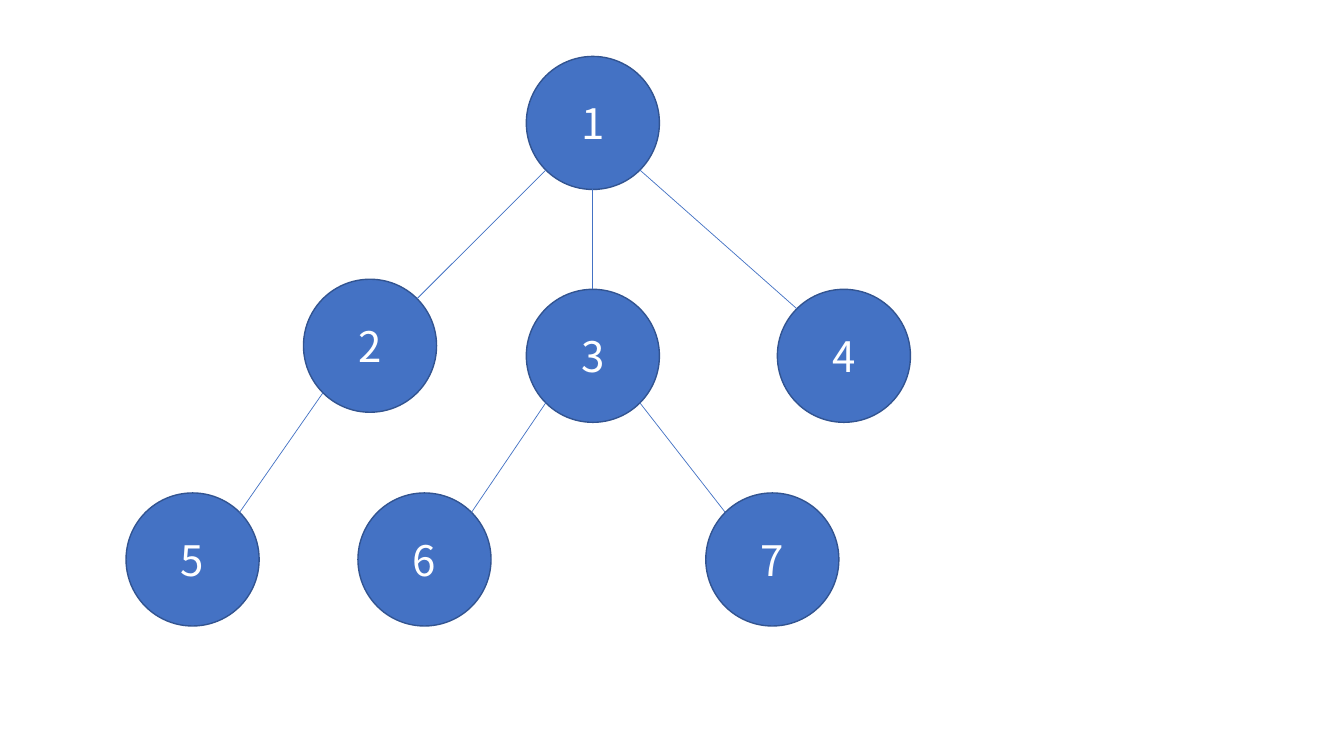
import math

from lxml import etree
from pptx import Presentation
from pptx import util as u
from pptx.dml.color import RGBColor
from pptx.enum import shapes, text
from pptx.oxml import ns

DIAMETER = 1.32
NODES = {
    "1": (5.22, 0.56),
    "2": (3.01, 2.77),
    "3": (5.22, 2.87),
    "4": (7.71, 2.87),
    "5": (1.25, 4.89),
    "6": (3.55, 4.89),
    "7": (7, 4.89),
}
EDGES = ["12", "13", "14", "25", "36", "37"]


def color(value):
    return RGBColor.from_string(value)


def write(frame, content, *, font, size, fill, align):
    para = frame.paragraphs[0]
    para.alignment = align
    span = para.add_run()
    span.text = content
    span.font.name = font
    span.font.size = u.Pt(size)
    span.font.color.rgb = color(fill)
    properties = span.font._element
    for tag in ("a:ea", "a:cs"):
        etree.SubElement(properties, ns.qn(tag), typeface=font)


class TreePage:
    font = "Noto Sans CJK KR"
    size = 30
    node_fill = "4472C4"
    node_line = "325491"
    text_fill = "FFFFFF"

    def __init__(self, deck):
        self.page = deck.slides.add_slide(deck.slide_layouts[6])

    def node(self, label, left, top):
        circle = self.page.shapes.add_shape(
            shapes.MSO_SHAPE.FLOWCHART_CONNECTOR,
            u.Inches(left), u.Inches(top), u.Inches(DIAMETER), u.Inches(DIAMETER))
        circle.shadow.inherit = False
        circle.fill.solid()
        circle.fill.fore_color.rgb = color(self.node_fill)
        circle.line.color.rgb = color(self.node_line)
        circle.line.width = u.Pt(1)
        frame = circle.text_frame
        frame.vertical_anchor = text.MSO_ANCHOR.MIDDLE
        write(frame, label, font=self.font, size=self.size,
              fill=self.text_fill, align=text.PP_ALIGN.CENTER)

    def edge(self, parent, child):
        radius = DIAMETER / 2
        (parent_x, parent_y), (child_x, child_y) = NODES[parent], NODES[child]
        if child_x == parent_x:
            across, down = 0, radius
        else:
            down = radius * math.sqrt(0.5)
            across = math.copysign(down, child_x - parent_x)
        line = self.page.shapes.add_connector(
            shapes.MSO_CONNECTOR.STRAIGHT,
            u.Inches(parent_x + radius + across), u.Inches(parent_y + radius + down),
            u.Inches(child_x + radius - across), u.Inches(child_y + radius - down))
        line.line.color.rgb = color(self.node_fill)
        line.line.width = u.Pt(0.5)
        etree.SubElement(line._element.spPr, ns.qn("a:effectLst"))


def main():
    deck = Presentation()
    deck.slide_width = u.Inches(13.33)
    deck.slide_height = u.Inches(7.5)
    tree = TreePage(deck)
    for label, (left, top) in NODES.items():
        tree.node(label, left, top)
    for parent, child in EDGES:
        tree.edge(parent, child)
    deck.save("out.pptx")


if __name__ == "__main__":
    main()
